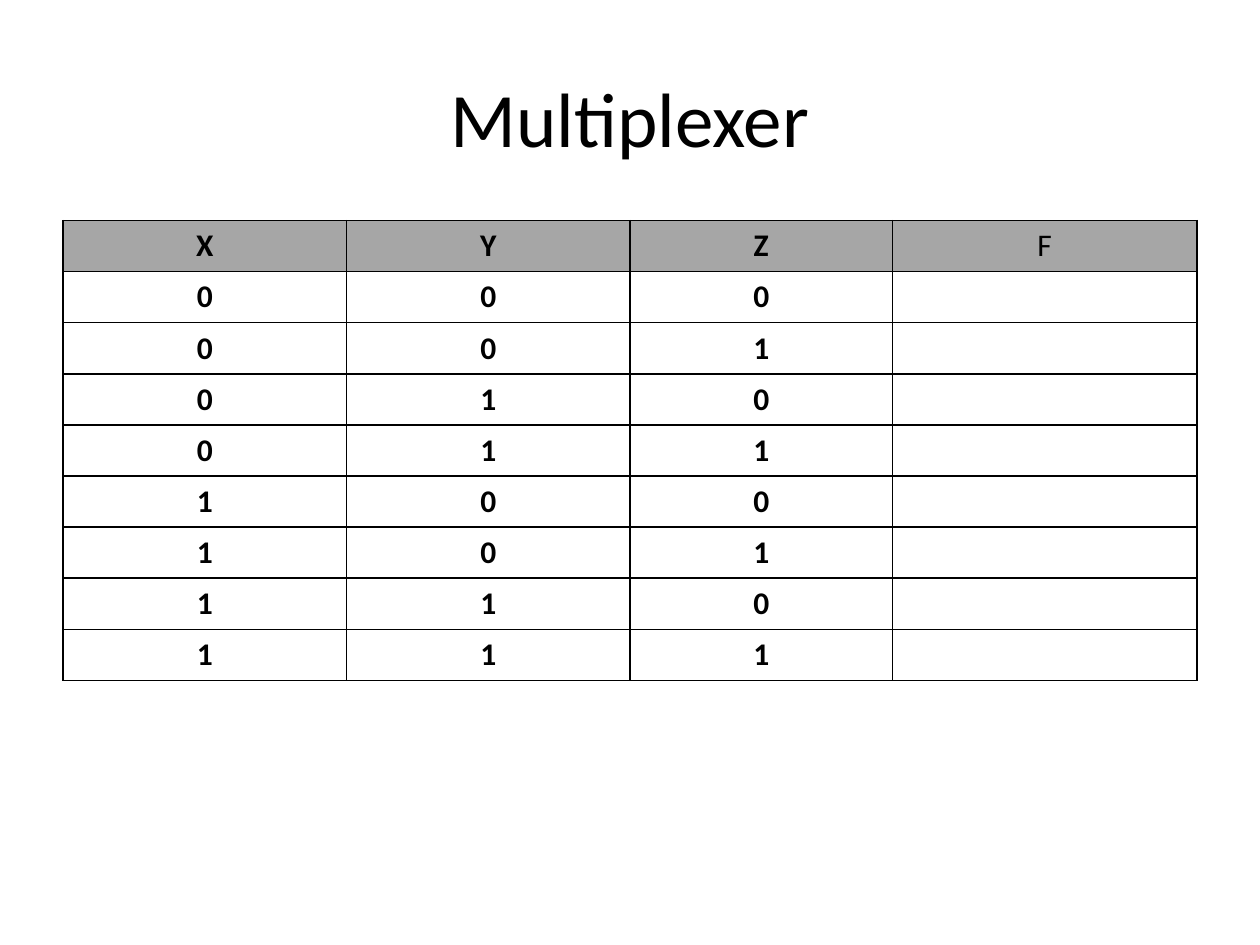
"""Build a slide with the truth table of a multiplexer."""
import itertools

import pptx
import pptx.dml.color
import pptx.enum.text
import pptx.oxml
import pptx.oxml.ns
import pptx.util

Pt = pptx.util.Pt


def color(value):
    return pptx.dml.color.RGBColor.from_string(value)


class SlideBuilder:
    font_name = "Calibri"
    text_color = "000000"
    header_color = "A6A6A6"
    border_color = "000000"
    border_width = 1

    def __init__(self, presentation):
        self.slide = presentation.slides.add_slide(presentation.slide_layouts[5])

    def format_paragraph(self, paragraph, **values):
        paragraph.alignment = pptx.enum.text.PP_ALIGN.CENTER
        for name, value in {"name": self.font_name, **values}.items():
            setattr(paragraph.font, name, value)
        paragraph.font.color.rgb = color(self.text_color)

    def add_title(self, text, left, top, width, height):
        title = self.slide.shapes.title
        box = {"left": left, "top": top, "width": width, "height": height}
        for name, value in box.items():
            setattr(title, name, Pt(value))
        title.text_frame.text = text
        title.text_frame.vertical_anchor = pptx.enum.text.MSO_ANCHOR.MIDDLE
        self.format_paragraph(title.text_frame.paragraphs[0], size=Pt(44))

    def add_borders(self, cell):
        properties = cell._tc.get_or_add_tcPr()
        for position, side in enumerate(("lnL", "lnR", "lnT", "lnB")):
            border = pptx.oxml.parse_xml(
                f'<a:{side} {pptx.oxml.ns.nsdecls("a")} w="{Pt(self.border_width)}">'
                f'<a:solidFill><a:srgbClr val="{self.border_color}"/></a:solidFill>'
                f"</a:{side}>"
            )
            properties.insert(position, border)

    def add_table(self, rows, left, top, column_widths, row_height):
        frame = self.slide.shapes.add_table(
            len(rows), len(column_widths), Pt(left), Pt(top),
            Pt(sum(column_widths)), Pt(row_height * len(rows)),
        )
        table = frame.table
        table.horz_banding = False
        for column, width in zip(table.columns, column_widths):
            column.width = Pt(width)
        for row_index, (row, texts) in enumerate(zip(table.rows, rows)):
            row.height = Pt(row_height)
            for cell, text in zip(row.cells, texts):
                cell.text = text
                if row_index == 0:
                    cell.fill.solid()
                    cell.fill.fore_color.rgb = color(self.header_color)
                else:
                    cell.fill.background()
                self.format_paragraph(
                    cell.text_frame.paragraphs[0], size=Pt(18), bold=text != "F"
                )
                self.add_borders(cell)


def main():
    presentation = pptx.Presentation()
    presentation.slide_width = Pt(720)
    presentation.slide_height = Pt(540)
    builder = SlideBuilder(presentation)
    builder.add_title("Multiplexer", 36, 21.6, 648, 90)
    inputs = [(*bits, "") for bits in itertools.product("01", repeat=3)]
    builder.add_table([tuple("XYZF"), *inputs], 36, 126, (162, 162, 150, 174), 29.2)
    presentation.save("out.pptx")


if __name__ == "__main__":
    main()
